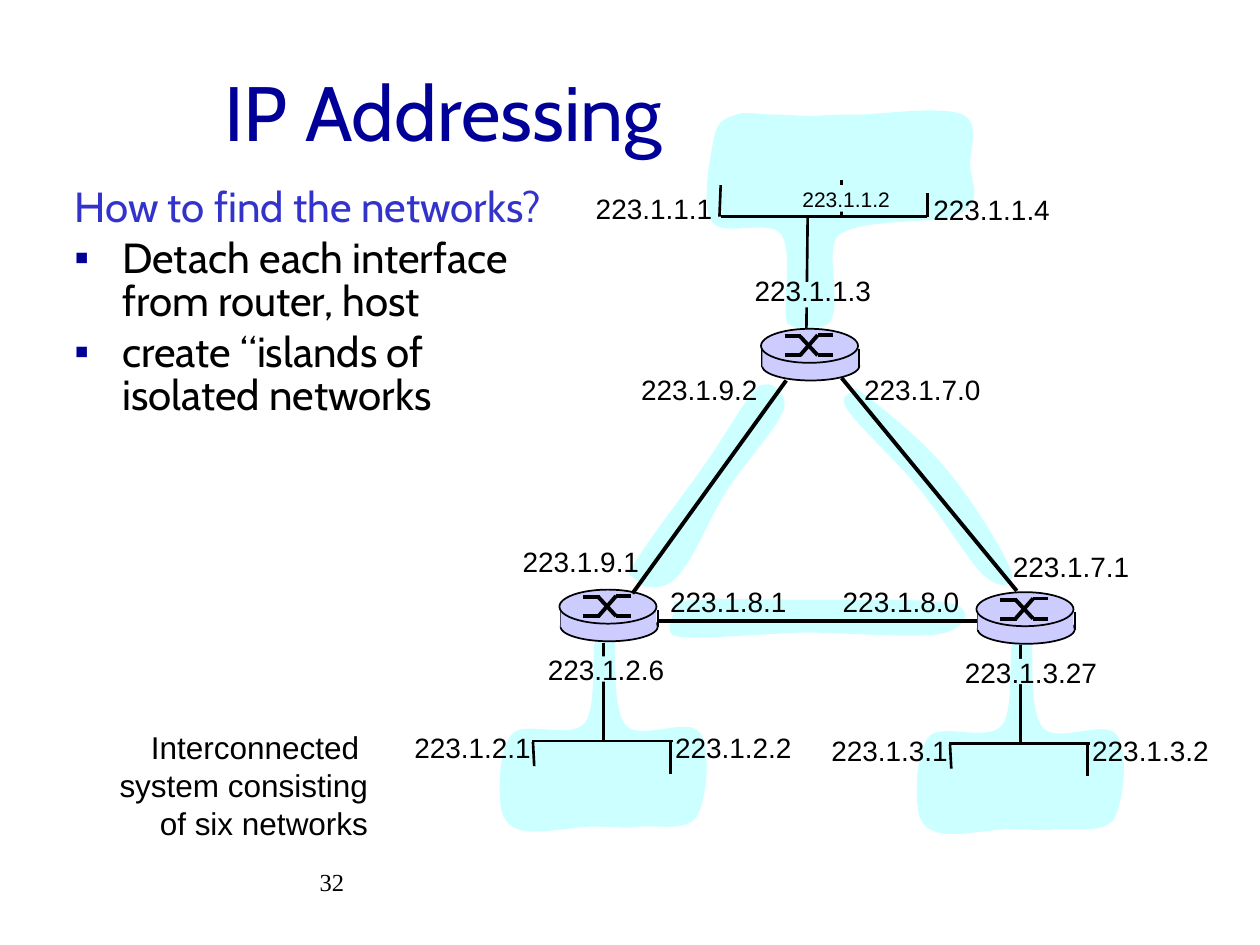
from lxml.etree import SubElement
from pptx import Presentation
from pptx.dml.color import RGBColor as RGB
from pptx.enum.shapes import MSO_CONNECTOR as LINK, MSO_SHAPE as SHAPE
from pptx.enum.text import MSO_ANCHOR as ANCHOR, MSO_AUTO_SIZE as FIT, PP_ALIGN as ALIGN
from pptx.oxml.ns import qn
from pptx.util import Inches, Pt

THEME = {
    "black": RGB.from_string("000000"), "title": RGB.from_string("000099"),
    "question": RGB.from_string("3333CC"), "network": RGB.from_string("CCFFFF"),
    "router": RGB.from_string("CCCCFF"),
    "head_font": "Cabin", "label_font": "Arial", "number_font": "Times New Roman",
    "title_size": 44, "body_size": 24, "caption_size": 18, "label_size": 16,
    "number_size": 14, "small_size": 12,
    "outline": 1, "wire": 1.5, "link": 2.25,
}

# Content
TITLE = "IP Addressing"
QUESTION = "How to find the networks?"
STEPS = ["Detach each interface from router, host", "create “islands of isolated networks"]
CAPTION = ["Interconnected ", "system consisting", "of six networks"]
NUMBER = "32"

# Address labels: text, left, top
ADDRESSES = [
    ("223.1.1.1", 4.63, 1.47), ("223.1.1.3", 5.89, 2.12), ("223.1.1.4", 7.31, 1.48),
    ("223.1.7.0", 6.76, 2.91), ("223.1.7.1", 7.94, 4.31),
    ("223.1.8.0", 6.59, 4.59), ("223.1.8.1", 5.22, 4.59),
    ("223.1.9.1", 4.05, 4.27), ("223.1.9.2", 4.99, 2.91),
]
# Shift of each lower site from the left one, with its host and router addresses
LOWER_SITES = [
    ((0, 0), ("223.1.2.2", "223.1.2.1", "223.1.2.6")),
    ((3.31, 0.02), ("223.1.3.2", "223.1.3.1", "223.1.3.27")),
]
LOWER_LABEL_SPOTS = [(5.26, 5.75), (3.19, 5.75), (4.25, 5.13)]
ROUTERS = [(4.44, 4.68), (7.75, 4.7), (6.04, 2.61)]

# Network areas: a start point, then three points for every curve
LINK_AREAS = [
    [(6.7, 3.2), (6.71, 3.29), (7.09, 3.63), (7.28, 3.86), (7.47, 4.09), (7.69, 4.46),
     (7.81, 4.57), (7.94, 4.68), (8.07, 4.67), (8.02, 4.52), (7.97, 4.38), (7.7, 3.94),
     (7.49, 3.7), (7.29, 3.46), (6.92, 3.17), (6.79, 3.08), (6.73, 3.16), (6.69, 3.11),
     (6.7, 3.2)],
    [(5.34, 5.04), (5.42, 5.09), (6.03, 5.03), (6.38, 5.02), (6.74, 5.02), (7.27, 5.07),
     (7.47, 5.03), (7.66, 4.99), (7.74, 4.84), (7.56, 4.79), (7.39, 4.75), (6.78, 4.76),
     (6.41, 4.76), (6.04, 4.76), (5.53, 4.74), (5.35, 4.78), (5.37, 4.88), (5.27, 4.99),
     (5.34, 5.04)],
    [(5.26, 4.65), (5.46, 4.61), (5.61, 4.12), (5.79, 3.86), (5.95, 3.63), (6.18, 3.38),
     (6.22, 3.25), (6.26, 3.12), (6.12, 3), (6.02, 3.07), (5.92, 3.15), (5.77, 3.44),
     (5.59, 3.69), (5.42, 3.94), (5.05, 4.4), (4.99, 4.56), (5.08, 4.6), (5.06, 4.69),
     (5.26, 4.65)],
]
TOP_AREA = [
    (6.53, 2.59), (6.73, 2.55), (6.53, 2.01), (6.65, 1.87), (6.84, 1.72), (7.46, 1.79),
    (7.63, 1.69), (7.81, 1.6), (7.7, 1.43), (7.7, 1.3), (7.7, 1.17), (7.78, 0.97),
    (7.64, 0.91), (7.49, 0.84), (7.03, 0.9), (6.83, 0.91), (6.64, 0.91), (6.59, 0.91),
    (6.47, 0.92), (6.36, 0.92), (6.25, 0.91), (6.15, 0.91), (6.04, 0.91), (5.92, 0.88),
    (5.84, 0.91), (5.77, 0.94), (5.7, 0.94), (5.67, 1.08), (5.64, 1.22), (5.56, 1.63),
    (5.65, 1.76), (5.74, 1.89), (6.1, 1.73), (6.2, 1.86), (6.3, 2), (6.2, 2.45),
    (6.25, 2.57), (6.34, 2.61), (6.33, 2.63), (6.53, 2.59)]
LOWER_AREA = [
    (4.74, 5.06), (4.68, 5.07), (4.75, 5.61), (4.64, 5.74), (4.52, 5.87), (4.18, 5.72),
    (4.07, 5.82), (3.96, 5.93), (3.96, 6.24), (3.97, 6.36), (3.98, 6.49), (4.02, 6.56),
    (4.14, 6.59), (4.26, 6.62), (4.53, 6.57), (4.69, 6.56), (4.85, 6.56), (4.95, 6.58),
    (5.09, 6.56), (5.23, 6.55), (5.45, 6.6), (5.53, 6.48), (5.61, 6.35), (5.65, 5.93),
    (5.55, 5.81), (5.46, 5.69), (5.08, 5.88), (4.97, 5.76), (4.86, 5.64), (4.89, 5.22),
    (4.88, 5.1), (4.86, 4.99), (4.9, 5.09), (4.88, 5.08), (4.86, 5.04), (4.81, 5.05),
    (4.74, 5.06)]

# Wires: x1, y1, x2, y2; gaps where an address crosses: left, top, width, height
TOP_WIRES = [(7.36, 1.72, 5.72, 1.72), (7.36, 1.72, 7.36, 1.53), (5.72, 1.47, 5.71, 1.72),
             (6.41, 1.73, 6.4, 2.61), (6.68, 1.72, 6.68, 1.43)]
TOP_GAPS = [(6.27, 2.24, 0.34, 0.2), (6.62, 1.47, 0.12, 0.21)]
LOWER_WIRES = [(4.79, 5.1, 4.79, 5.88), (5.34, 5.88, 4.22, 5.88),
               (4.24, 6.08, 4.23, 5.89), (5.32, 6.14, 5.32, 5.88)]
LOWER_GAP = (4.72, 5.21, 0.14, 0.2)
ROUTER_LINKS = [(5.02, 4.71, 6.24, 3.02), (8.07, 4.69, 6.68, 3), (7.75, 4.93, 5.23, 4.93)]
# Crossed arrows on a router, from its top left corner
ROUTER_CROSS = [(0.19, 0.06, 0.32, 0.06), (0.45, 0.21, 0.57, 0.21), (0.31, 0.06, 0.45, 0.21),
                (0.19, 0.21, 0.32, 0.21), (0.45, 0.05, 0.57, 0.05), (0.31, 0.21, 0.45, 0.05)]

prs = Presentation()
prs.slide_width, prs.slide_height = Inches(10), Inches(7.5)
slide = prs.slides.add_slide(prs.slide_layouts[1])
shapes = slide.shapes


def apply(target, formats):
    for key, value in formats.items():
        setattr(target, key, value)


def place(holder, left, top, width, height):
    apply(holder, {"left": Inches(left), "top": Inches(top),
                   "width": Inches(width), "height": Inches(height)})


def indent(paragraph, margin, first):
    props = paragraph._p.get_or_add_pPr()
    props.set("marL", str(Inches(margin)))
    props.set("indent", str(Inches(first)))
    return props


def write(paragraph, text, font, size, color="black", align=ALIGN.LEFT):
    paragraph.text = text
    paragraph.alignment = align
    apply(paragraph.font, {"name": THEME[font], "size": Pt(THEME[size])})
    paragraph.font.color.rgb = THEME[color]


def paint(shape, fill, outlined=False):
    shape.shadow.inherit = False
    shape.fill.solid()
    shape.fill.fore_color.rgb = THEME[fill]
    if outlined:
        shape.line.color.rgb = THEME["black"]
        shape.line.width = Pt(THEME["outline"])
    else:
        shape.line.fill.background()


def block(kind, box, fill, outlined=False):
    paint(shapes.add_shape(kind, *map(Inches, box)), fill, outlined)


def wire(ends, width, dx=0, dy=0):
    x1, y1, x2, y2 = ends
    line = shapes.add_connector(LINK.STRAIGHT, Inches(x1 + dx), Inches(y1 + dy),
                                Inches(x2 + dx), Inches(y2 + dy))
    line.line.color.rgb = THEME["black"]
    line.line.width = Pt(THEME[width])
    SubElement(line._element.spPr, qn("a:effectLst"))


def area(points, dx=0, dy=0):
    start, *rest = [(Inches(x + dx), Inches(y + dy)) for x, y in points]
    builder = shapes.build_freeform(*start, scale=1.0)
    builder.add_line_segments(rest, close=True)
    shape = builder.convert_to_shape()
    paint(shape, "network")
    # Join every three line points into one curve
    sides = list(shape._element.iter(qn("a:lnTo")))
    for i in range(0, len(sides), 3):
        curve = sides[i].makeelement(qn("a:cubicBezTo"))
        sides[i].addprevious(curve)
        for side in sides[i:i + 3]:
            curve.append(side[0])
            side.getparent().remove(side)


def note(lines, box, font, size, align=ALIGN.LEFT, wrap=False):
    frame = shapes.add_textbox(*map(Inches, box)).text_frame
    apply(frame, {"word_wrap": wrap, "auto_size": FIT.NONE if wrap else FIT.SHAPE_TO_FIT_TEXT})
    for i, text in enumerate(lines):
        write(frame.add_paragraph() if i else frame.paragraphs[0], text, font, size, align=align)


def address(text, left, top, size="label_size", width=None, height=0.37):
    note([text], (left, top, width or 0.05 + 0.12 * len(text), height), "label_font", size)


def router(left, top):
    block(SHAPE.OVAL, (left + 0.01, top + 0.18, 0.77, 0.23), "router", True)
    for x in (0.01, 0.78):
        wire((x, 0.16, x, 0.3), "outline", left, top)
    block(SHAPE.RECTANGLE, (left + 0.01, top + 0.16, 0.76, 0.14), "router")
    block(SHAPE.OVAL, (left, top, 0.77, 0.27), "router", True)
    for stroke in ROUTER_CROSS:
        wire(stroke, "link", left, top)


# Title
title = shapes.title
place(title, 0.58, 0.25, 8.5, 1.25)
apply(title.text_frame, {"vertical_anchor": ANCHOR.MIDDLE, "auto_size": FIT.NONE})
heading = title.text_frame.paragraphs[0]
indent(heading, 1.1, 0)
write(heading, TITLE, "head_font", "title_size", "title")

# Question and steps
body = slide.placeholders[1]
place(body, 0.49, 1.44, 4.04, 5.08)
body.text_frame.auto_size = FIT.NONE
for i, text in enumerate([QUESTION] + STEPS):
    item = body.text_frame.add_paragraph() if i else body.text_frame.paragraphs[0]
    props = indent(item, 0.38, -0.38)
    if i:
        SubElement(SubElement(props, qn("a:buClr")), qn("a:srgbClr"), val=str(THEME["title"]))
        SubElement(props, qn("a:buFont"), typeface=THEME["label_font"])
        SubElement(props, qn("a:buChar"), char="▪")
    else:
        SubElement(props, qn("a:buNone"))
    apply(item, {"line_spacing": 0.85, "space_before": Pt(4.8 if i else 0)})
    write(item, text, "head_font", "body_size", "black" if i else "question")

# Networks
for points in LINK_AREAS + [TOP_AREA]:
    area(points)
for ends in TOP_WIRES:
    wire(ends, "wire")
for gap in TOP_GAPS:
    block(SHAPE.RECTANGLE, gap, "network")
for (dx, dy), names in LOWER_SITES:
    area(LOWER_AREA, dx, dy)
    for ends in LOWER_WIRES:
        wire(ends, "wire", dx, dy)
    left, top, width, height = LOWER_GAP
    block(SHAPE.RECTANGLE, (left + dx, top + dy, width, height), "network")
    for name, (x, y) in zip(names, LOWER_LABEL_SPOTS):
        address(name, x + dx, y + dy)

# Routers and the links between them
for corner in ROUTERS:
    router(*corner)
for ends in ROUTER_LINKS:
    wire(ends, "link")

# Addresses, caption and slide number
for text, left, top in ADDRESSES:
    address(text, left, top)
address("223.1.1.2", 6.27, 1.43, "small_size", 0.92, 0.3)
note(CAPTION, (0.85, 5.73, 2.17, 1), "label_font", "caption_size", ALIGN.RIGHT)
note([NUMBER], (0.75, 6.83, 2.08, 0.5), "number_font", "number_size", ALIGN.RIGHT, True)

prs.save("out.pptx")
